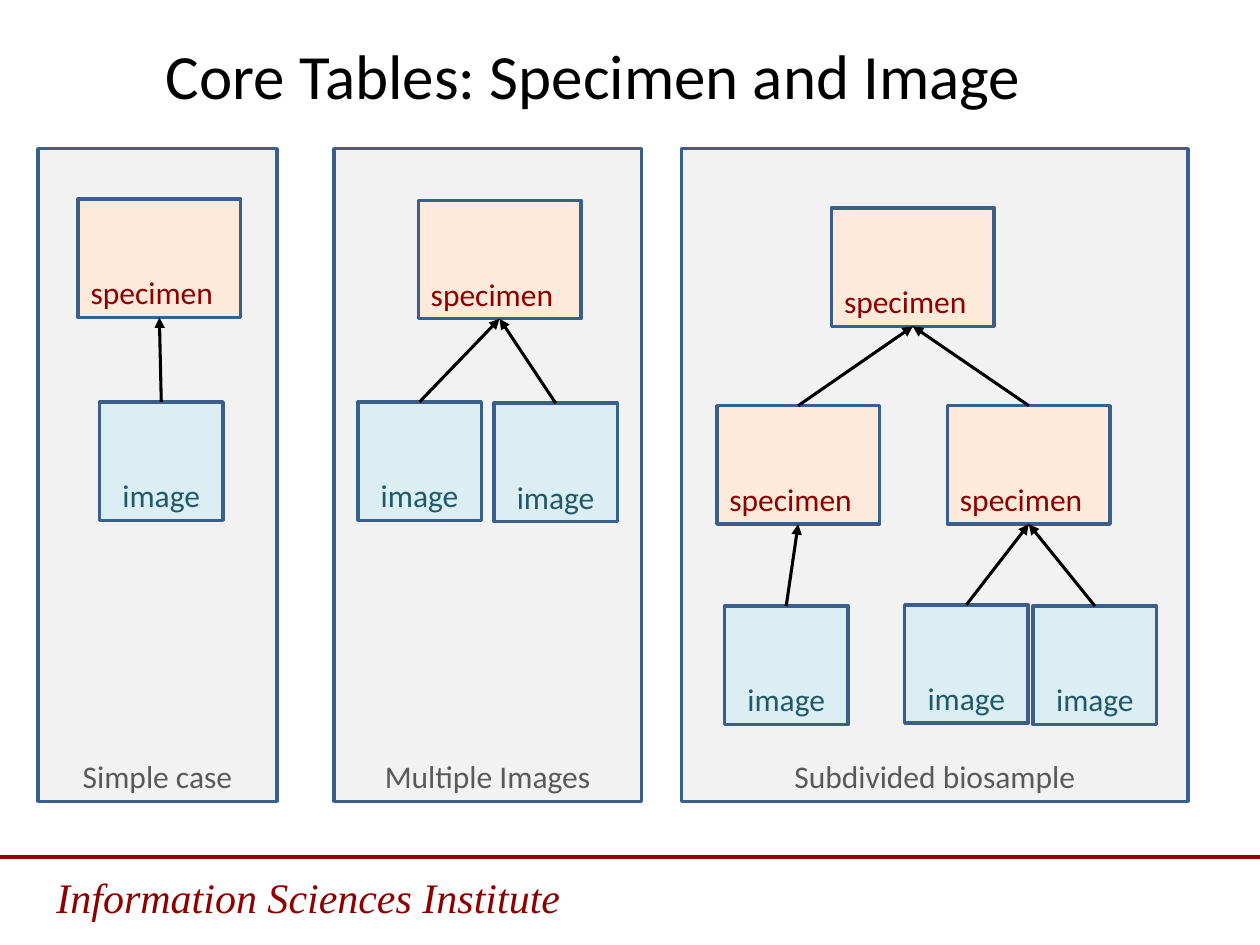
from lxml.etree import SubElement
from pptx import Presentation
from pptx.dml.color import RGBColor
from pptx.enum.shapes import MSO_CONNECTOR, MSO_SHAPE
from pptx.enum.text import MSO_ANCHOR, PP_ALIGN
from pptx.oxml.ns import qn
from pptx.util import Emu, Pt

PX = 9144  # EMU per px, 100 px to the inch
BLACK = RGBColor(0x00, 0x00, 0x00)
MAROON = RGBColor(0x8E, 0x00, 0x00)
BORDER = RGBColor(0x3A, 0x5F, 0x8C)
PANEL_FILL = RGBColor(0xF2, 0xF2, 0xF2)
PANEL_TEXT = RGBColor(0x59, 0x59, 0x59)
SPECIMEN_FILL = RGBColor(0xFD, 0xEA, 0xDA)
IMAGE_FILL = RGBColor(0xDB, 0xEE, 0xF4)
IMAGE_TEXT = RGBColor(0x21, 0x59, 0x68)

BOTTOM, TOP = 2, 0  # connection sites of a rectangle
PANEL_TOP, PANEL_HEIGHT = 118, 518

# Table kind: width, height, fill, text colour, alignment
TABLES = {
    "specimen": (129, 94, SPECIMEN_FILL, MAROON, PP_ALIGN.LEFT),
    "image": (98, 94, IMAGE_FILL, IMAGE_TEXT, PP_ALIGN.CENTER),
}

# Caption, left, width, tables as (kind, x, y, index of parent) within the panel
PANELS = [
    ("Simple case", 30, 190, [
        ("specimen", 32, 40, None),
        ("image", 49, 201, 0),
    ]),
    ("Multiple Images", 265, 244, [
        ("specimen", 67, 41, None),
        ("image", 19, 201, 0),
        ("image", 127, 202, 0),
    ]),
    ("Subdivided biosample", 541, 402, [
        ("specimen", 119, 47, None),
        ("specimen", 28, 204, 0),
        ("specimen", 211, 204, 0),
        ("image", 34, 363, 1),
        ("image", 177, 362, 2),
        ("image", 279, 363, 2),
    ]),
]


def px(*lengths):
    return [Emu(length * PX) for length in lengths]


def write_text(shape, text, size=18, font="Calibri", color=BLACK, italic=False,
               align=PP_ALIGN.CENTER, anchor=MSO_ANCHOR.BOTTOM, wrap=True):
    frame = shape.text_frame
    frame.word_wrap = wrap
    frame.vertical_anchor = anchor
    paragraph = frame.paragraphs[0]
    paragraph.alignment = align
    run = paragraph.add_run()
    run.text = text
    run.font.size = Pt(size)
    run.font.name = font
    run.font.italic = italic
    run.font.color.rgb = color


def add_box(slide, text, left, top, width, height, fill, color, align=PP_ALIGN.CENTER):
    shape = slide.shapes.add_shape(MSO_SHAPE.RECTANGLE, *px(left, top, width, height))
    shape.shadow.inherit = False
    shape.fill.solid()
    shape.fill.fore_color.rgb = fill
    shape.line.color.rgb = BORDER
    shape.line.width = Pt(2)
    write_text(shape, text, color=color, align=align)
    return shape


def add_line(slide, color, weight, start=(0, 0), end=(0, 0)):
    line = slide.shapes.add_connector(MSO_CONNECTOR.STRAIGHT, *px(*start, *end))
    line.line.color.rgb = color
    line.line.width = Pt(weight)
    SubElement(line._element.spPr, qn("a:effectLst"))
    return line


def add_reference(slide, parent, child):
    """Join a child table to its parent, with the arrowhead at the parent."""
    arrow = add_line(slide, BLACK, 1.75)
    arrow.begin_connect(parent, BOTTOM)
    arrow.end_connect(child, TOP)
    SubElement(arrow.line._get_or_add_ln(), qn("a:headEnd"), type="triangle")


def add_panel(slide, caption, left, top, width, height, tables):
    add_box(slide, caption, left, top, width, height, PANEL_FILL, PANEL_TEXT)
    boxes = []
    for kind, x, y, _ in tables:
        boxes.append(add_box(slide, kind, left + x, top + y, *TABLES[kind]))
    for box, (_, _, _, parent) in zip(boxes, tables):
        if parent is not None:
            add_reference(slide, boxes[parent], box)


def add_title(slide, text, left, top, width, height):
    title = slide.shapes.title
    title.left, title.top, title.width, title.height = px(left, top, width, height)
    write_text(title, text, size=36, anchor=MSO_ANCHOR.MIDDLE)


def add_footer(slide, text, left, top, width, height):
    add_line(slide, MAROON, 2.25, (left, top), (left + width, top))
    label = slide.shapes.add_textbox(*px(left + 35, top + 7, 493, height))
    write_text(label, text, size=24, font="Times New Roman", color=MAROON, italic=True,
               align=PP_ALIGN.LEFT, anchor=MSO_ANCHOR.TOP)


def main():
    presentation = Presentation()
    presentation.slide_width, presentation.slide_height = px(1000, 750)
    slide = presentation.slides.add_slide(presentation.slide_layouts[5])
    add_footer(slide, "Information Sciences Institute", 0, 680, 1000, 50)
    add_title(slide, "Core Tables: Specimen and Image", 50, 24, 842, 70)
    for caption, left, width, tables in PANELS:
        add_panel(slide, caption, left, PANEL_TOP, width, PANEL_HEIGHT, tables)
    presentation.save("out.pptx")


if __name__ == "__main__":
    main()
